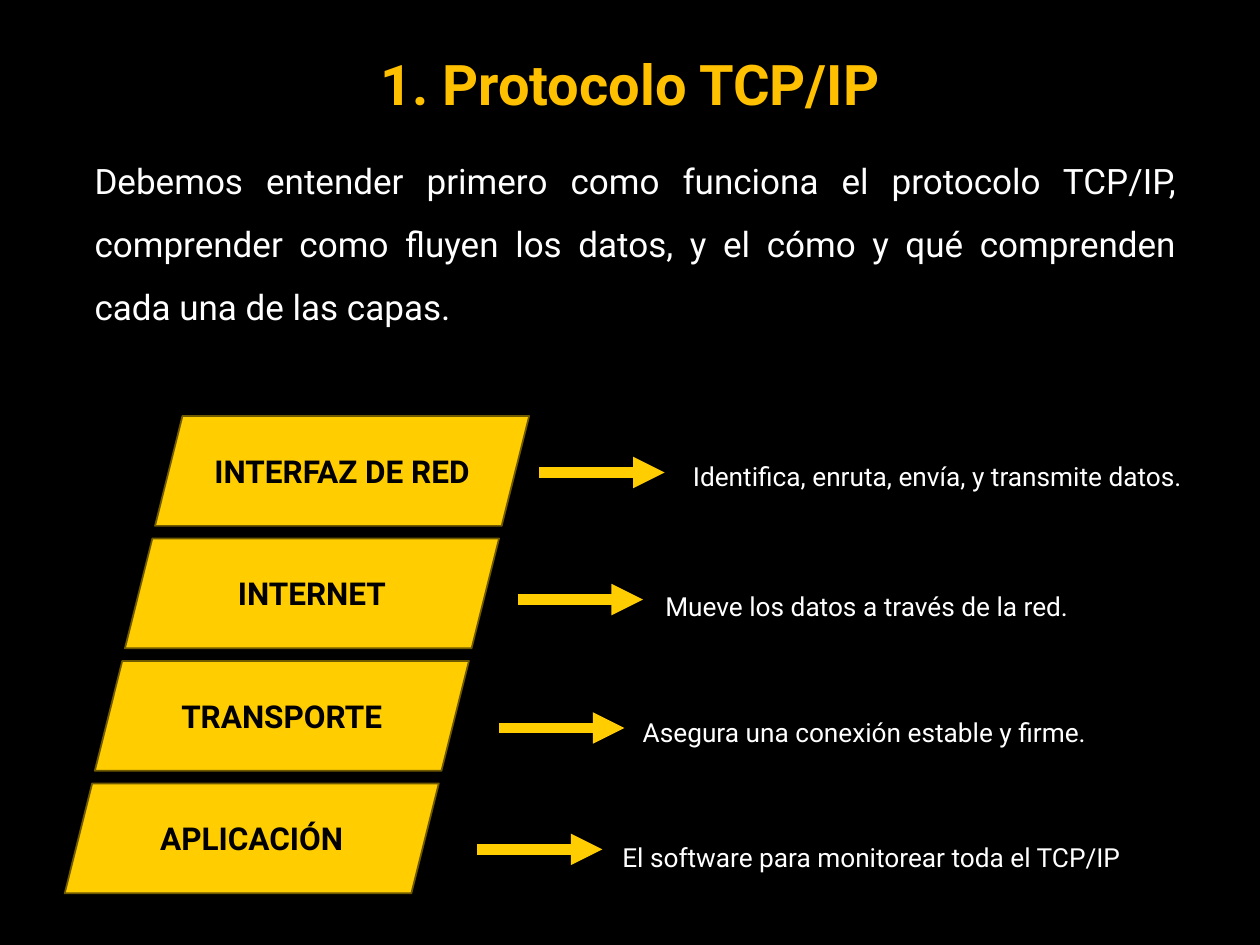
from lxml.etree import SubElement
from pptx import Presentation
from pptx.dml.color import RGBColor
from pptx.enum.shapes import MSO_CONNECTOR, MSO_SHAPE
from pptx.enum.text import MSO_ANCHOR, MSO_AUTO_SIZE, PP_ALIGN
from pptx.oxml.ns import qn
from pptx.util import Pt

TITLE = "1. Protocolo TCP/IP"
INTRO = ("Debemos entender primero como funciona el protocolo TCP/IP, comprender "
         "como fluyen los datos, y el cómo y qué comprenden cada una de las capas.")
LAYERS = [
    ("INTERFAZ DE RED", (308.2, 270), "Identifica, enruta, envía, y transmite datos.", (396, 254.2)),
    ("INTERNET", (295.8, 342.6), "Mueve los datos a través de la red.", (380.2, 328.4)),
    ("TRANSPORTE", (285.2, 416), "Asegura una conexión estable y firme.", (367.3, 400.2)),
    ("APLICACIÓN", (272.6, 485.4), "El software para monitorear toda el TCP/IP", (355.6, 471.6)),
]
FONT = "Roboto"
BLACK, WHITE, GOLD, YELLOW, OLIVE = "000000", "FFFFFF", "FFC000", "FFCD00", "705A00"
LAYER_LEFT, LAYER_TOP = 88.6, 237.7
LAYER_WIDTH, LAYER_HEIGHT = 213.8, 62.8
SHIFT, PITCH = 17.2, 70
ARROW_LENGTH = 71.6


def paint(target, color):
    target.solid()
    target.fore_color.rgb = RGBColor.from_string(color)


def write(shape, text, size, color, align, bold=False, spacing=None):
    frame = shape.text_frame
    frame.word_wrap = True
    frame.text = text
    para = frame.paragraphs[0]
    para.alignment = align
    para.line_spacing = spacing
    font = para.font
    font.name, font.size, font.bold = FONT, Pt(size), bold
    font.color.rgb = RGBColor.from_string(color)
    return frame


def clear_margins(frame):
    frame.margin_left = frame.margin_top = frame.margin_right = frame.margin_bottom = 0


def add_text(page, left, top, width, height, text, size):
    box = page.shapes.add_textbox(Pt(left), Pt(top), Pt(width), Pt(height))
    clear_margins(write(box, text, size, WHITE, PP_ALIGN.JUSTIFY, spacing=1.5))


def add_title(page):
    title = page.shapes.title
    title.left, title.top, title.width, title.height = Pt(0), Pt(29.5), Pt(720), Pt(40.3)
    frame = write(title, TITLE, 32, GOLD, PP_ALIGN.CENTER, True, 0.9)
    clear_margins(frame)
    frame.vertical_anchor = MSO_ANCHOR.MIDDLE
    frame.auto_size = MSO_AUTO_SIZE.NONE


def add_layer(group, index, name):
    layer = group.shapes.add_shape(
        MSO_SHAPE.PARALLELOGRAM, Pt(LAYER_LEFT - index * SHIFT), Pt(LAYER_TOP + index * PITCH),
        Pt(LAYER_WIDTH), Pt(LAYER_HEIGHT))
    layer.shadow.inherit = False
    paint(layer.fill, YELLOW)
    paint(layer.line.fill, OLIVE)
    layer.line.width = Pt(1)
    write(layer, name, 18, BLACK, PP_ALIGN.CENTER, True).vertical_anchor = MSO_ANCHOR.MIDDLE


def add_arrow(page, left, middle):
    arrow = page.shapes.add_connector(
        MSO_CONNECTOR.STRAIGHT, Pt(left), Pt(middle), Pt(left + ARROW_LENGTH), Pt(middle))
    paint(arrow.line.fill, YELLOW)
    arrow.line.width = Pt(6)
    SubElement(arrow.line._get_or_add_ln(), qn("a:tailEnd"), type="triangle")
    SubElement(arrow._element.spPr, qn("a:effectLst"))


def main():
    """Build the TCP/IP layers slide."""
    deck = Presentation()
    deck.slide_width, deck.slide_height = Pt(720), Pt(540)
    page = deck.slides.add_slide(deck.slide_layouts[5])
    paint(page.background.fill, BLACK)
    add_title(page)
    add_text(page, 54, 79.2, 618.5, 112.3, INTRO, 20)
    stack = page.shapes.add_group_shape()
    for index, (name, arrow_start, note, note_corner) in enumerate(LAYERS):
        add_layer(stack, index, name)
        add_arrow(page, *arrow_start)
        add_text(page, *note_corner, 324, 28, note, 15)
    deck.save("out.pptx")


if __name__ == "__main__":
    main()
